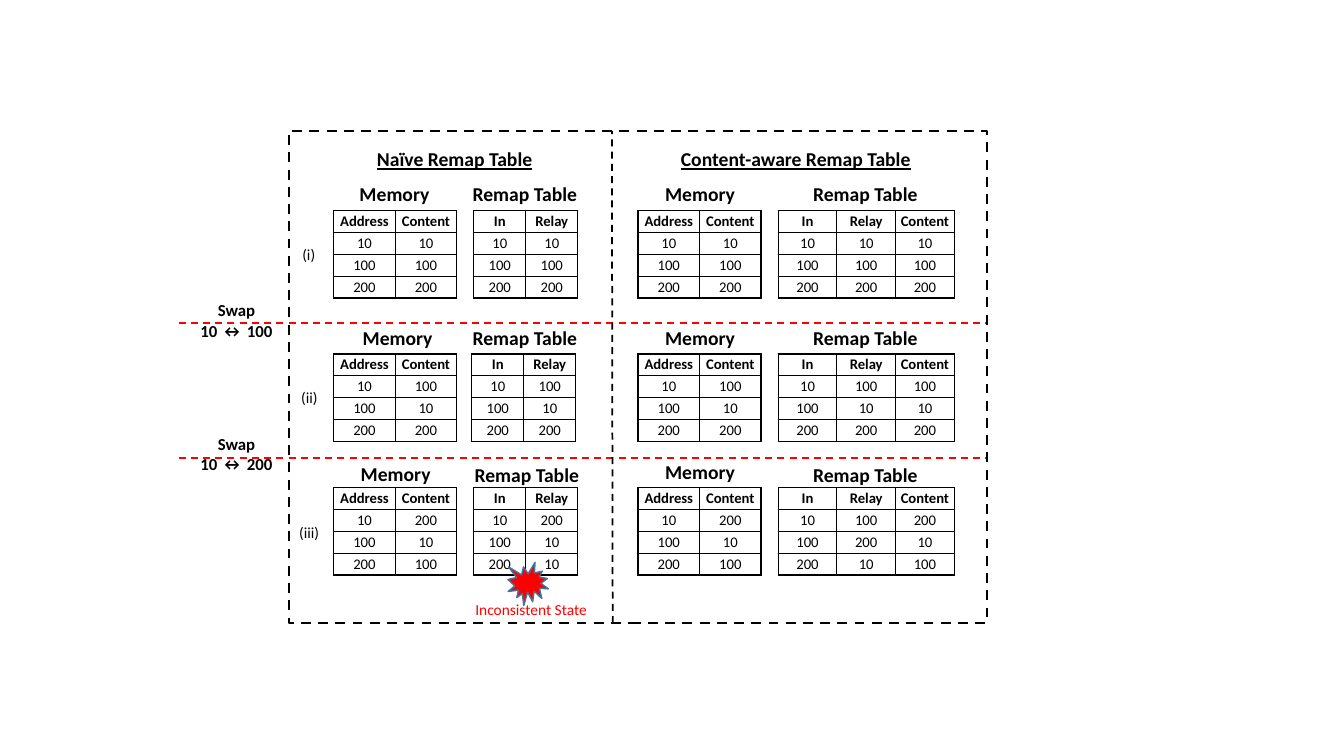
from lxml.etree import SubElement
from pptx import Presentation
from pptx.dml.color import RGBColor
from pptx.enum.dml import MSO_LINE
from pptx.enum.shapes import MSO_CONNECTOR, MSO_SHAPE
from pptx.enum.text import MSO_ANCHOR, MSO_AUTO_SIZE, PP_ALIGN
from pptx.oxml import parse_xml
from pptx.oxml.ns import nsdecls, qn
from pptx.util import Cm, Pt

COLORS = {"ink": "000000", "alert": "FF0000", "burst_edge": "43739E"}


class SlideBuilder:
    """Holds the slide style and draws elements; lengths are in centimetres."""

    font_name = "Calibri"
    cell_size = 10.5
    row_height = 0.55

    def __init__(self, page):
        """Keep the page that is drawn on."""
        self.page = page

    def color(self, name):
        """Return a palette colour."""
        return RGBColor.from_string(COLORS[name])

    def style(self, para, size, color="ink", bold=False, underline=False,
              align=PP_ALIGN.CENTER):
        """Format one paragraph."""
        font = para.font
        font.name, font.size = self.font_name, Pt(size)
        font.bold, font.underline = bold, underline
        font.color.rgb = self.color(color)
        para.alignment = align

    def text(self, words, left, top, width, height, size, wrap=False, **look):
        """Add a text box, one paragraph for each line of words."""
        box = self.page.shapes.add_textbox(Cm(left), Cm(top), Cm(width), Cm(height))
        frame = box.text_frame
        frame.text = words
        frame.word_wrap = wrap
        frame.auto_size = MSO_AUTO_SIZE.SHAPE_TO_FIT_TEXT
        for para in frame.paragraphs:
            self.style(para, size, **look)

    def outline(self, shape, color, weight, dashed=True):
        """Set the line of a shape or connector."""
        shape.line.color.rgb = self.color(color)
        shape.line.width = Pt(weight)
        if dashed:
            shape.line.dash_style = MSO_LINE.DASH

    def line(self, start, end, color):
        """Add a dashed line without shadow."""
        connector = self.page.shapes.add_connector(
            MSO_CONNECTOR.STRAIGHT, *map(Cm, start + end))
        self.outline(connector, color, 1.25)
        SubElement(connector._element.spPr, qn("a:effectLst"))

    def shape(self, kind, left, top, width, height, line, weight,
              fill=None, dashed=False):
        """Add a preset shape, unfilled unless a colour is given."""
        shape = self.page.shapes.add_shape(
            kind, Cm(left), Cm(top), Cm(width), Cm(height))
        shape.shadow.inherit = False
        if fill:
            shape.fill.solid()
            shape.fill.fore_color.rgb = self.color(fill)
        else:
            shape.fill.background()
        self.outline(shape, line, weight, dashed)

    def border(self, cell):
        """Draw a thin border on all four sides of a cell."""
        properties = cell._tc.get_or_add_tcPr()
        for side in "LRTB":
            properties.append(parse_xml(
                f'<a:ln{side} {nsdecls("a")} w="12700"><a:solidFill>'
                f'<a:srgbClr val="{COLORS["ink"]}"/></a:solidFill></a:ln{side}>'))

    def table(self, rows, left, top, column_width):
        """Add a bordered table with a bold first row."""
        columns = len(rows[0])
        table = self.page.shapes.add_table(
            len(rows), columns, Cm(left), Cm(top),
            Cm(columns * column_width), Cm(len(rows) * self.row_height)).table
        table.first_row = table.horz_banding = False
        for column in table.columns:
            column.width = Cm(column_width)
        for index, values in enumerate(rows):
            table.rows[index].height = Cm(self.row_height)
            for cell, value in zip(table.rows[index].cells, values):
                cell.text = str(value)
                cell.margin_left = cell.margin_right = Cm(0.1)
                cell.margin_top = cell.margin_bottom = Cm(0.05)
                cell.vertical_anchor = MSO_ANCHOR.TOP
                self.style(cell.text_frame.paragraphs[0], self.cell_size,
                           bold=index == 0)
                self.border(cell)
                cell.fill.background()


deck = Presentation()
deck.slide_width, deck.slide_height = Cm(33.87), Cm(19.05)
builder = SlideBuilder(deck.slides.add_slide(deck.slide_layouts[6]))

ADDRESSES = (10, 100, 200)
MEMORY_LEFTS = (8.41, 16.08)
NAIVE_LEFT, AWARE_LEFT = 11.94, 19.61

# Each stage: number, its box (left, top, width), table top, memory content,
# naive relay, content-aware relay, and the caption corners in table order.
STAGES = [
    (("(i)", 7.37, 6.05, 0.84), 5.31,
     (10, 100, 200), (10, 100, 200), (10, 100, 200), NAIVE_LEFT,
     [(8.81, 4.47), (11.66, 4.47), (16.51, 4.47), (20.24, 4.45)]),
    (("(ii)", 7.34, 9.65, 0.94), 8.92,
     (100, 10, 200), (100, 10, 200), (100, 10, 200), NAIVE_LEFT - 0.05,
     [(8.89, 8.08), (11.66, 8.08), (16.51, 8.08), (20.24, 8.08)]),
    (("(iii)", 7.29, 13.06, 1.02), 12.29,
     (200, 10, 100), (200, 10, 10), (100, 200, 10), NAIVE_LEFT,
     [(8.84, 11.51), (11.71, 11.53), (16.51, 11.46), (20.24, 11.53)]),
]
CAPTIONS = [("Memory", 2.29), ("Remap Table", 3.15)] * 2

for number, top, content, naive, aware, naive_left, corners in STAGES:
    for (caption, width), (left, caption_top) in zip(CAPTIONS, corners):
        builder.text(caption, left, caption_top, width, 0.86, 14, bold=True,
                     align=PP_ALIGN.LEFT)
    memory_rows = [("Address", "Content"), *zip(ADDRESSES, content)]
    for left in MEMORY_LEFTS:
        builder.table(memory_rows, left, top, 1.55)
    builder.table([("In", "Relay"), *zip(ADDRESSES, naive)],
                  naive_left, top, 1.31)
    builder.table([("In", "Relay", "Content"), *zip(ADDRESSES, aware, content)],
                  AWARE_LEFT, top, 1.48)
    label, left, label_top, width = number
    builder.text(label, left, label_top, width, 0.74, 11, align=PP_ALIGN.LEFT)

builder.shape(MSO_SHAPE.EXPLOSION1, 12.8, 14.17, 1.02, 1.09,
              "burst_edge", 1, fill="alert")
builder.text("Inconsistent State", 11.71, 14.99, 3.35, 0.74, 11, color="alert")

for partner, swap_top, line_top, line_end in [(100, 7.44, 8.13, 24.84),
                                              (200, 10.8, 11.54, 24.89)]:
    builder.line((4.5, line_top), (line_end, line_top), "alert")
    builder.text(f"Swap\n10 ↔ {partner}", 4.78, swap_top, 2.36, 1.27, 12, bold=True)

for heading, left, width in [("Naïve Remap Table", MEMORY_LEFTS[0], 6.1),
                             ("Content-aware Remap Table", MEMORY_LEFTS[1], 7.95)]:
    builder.text(heading, left, 3.58, width, 0.86, 14, wrap=True,
                 bold=True, underline=True)

builder.line((15.44, 15.7), (15.42, 3.3), "ink")
builder.shape(MSO_SHAPE.RECTANGLE, 7.29, 3.3, 17.58, 12.4, "ink", 1.75, dashed=True)

deck.save("out.pptx")
